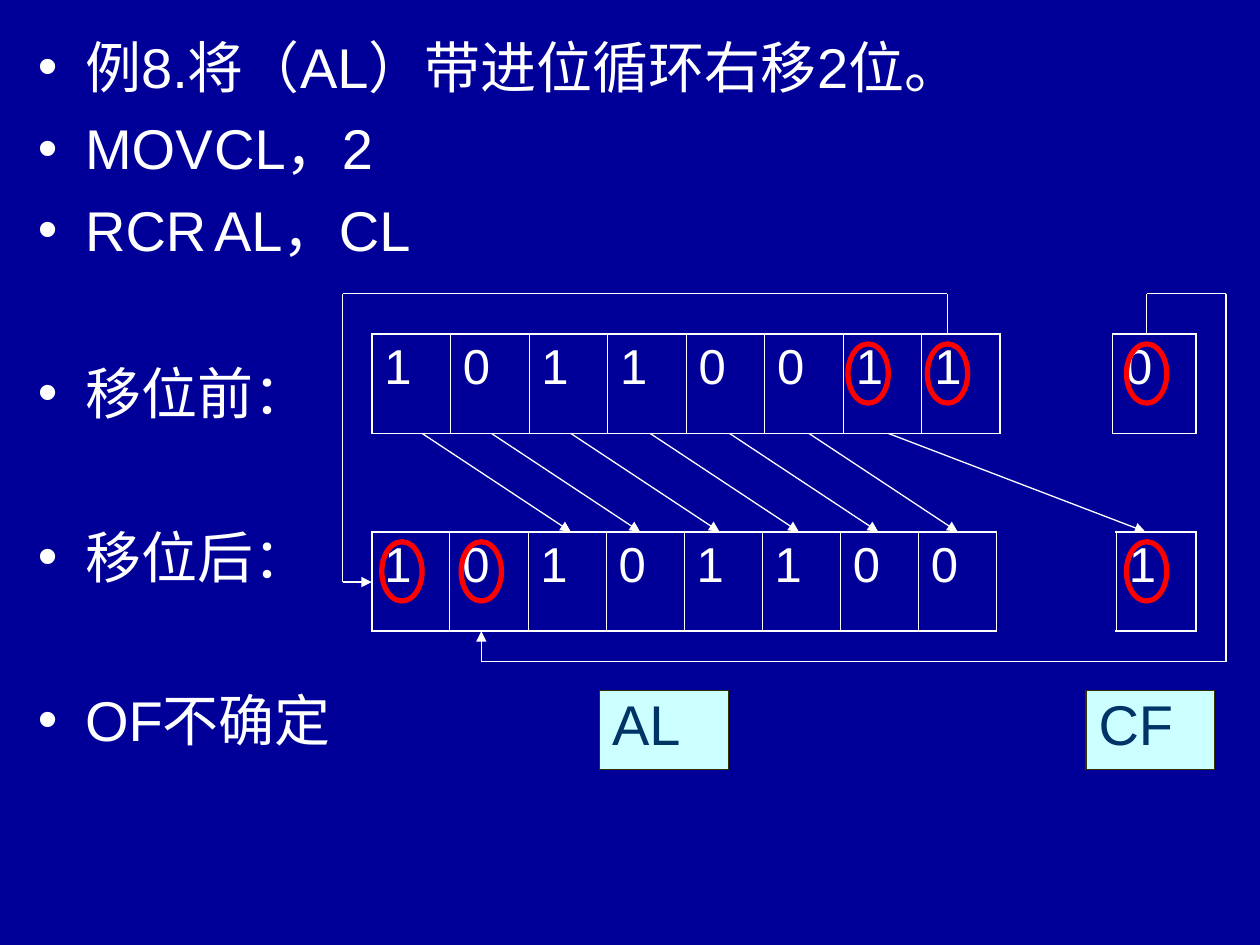
from dataclasses import dataclass
from itertools import pairwise

from lxml.etree import SubElement
from pptx import Presentation
from pptx.dml.color import RGBColor
from pptx.enum.shapes import MSO_CONNECTOR, MSO_SHAPE
from pptx.enum.text import MSO_ANCHOR, MSO_AUTO_SIZE, PP_ALIGN
from pptx.oxml import parse_xml
from pptx.oxml.ns import nsdecls, qn
from pptx.slide import Slide
from pptx.util import Inches, Pt

NAVY = RGBColor(0x00, 0x00, 0x99)
WHITE = RGBColor(0xFF, 0xFF, 0xFF)
RED = RGBColor(0xFF, 0x00, 0x00)
PALE_CYAN = RGBColor(0xCC, 0xFF, 0xFF)
OLIVE = RGBColor(0x33, 0x33, 0x00)
TEAL = RGBColor(0x00, 0x33, 0x66)

BEFORE_TOP, AFTER_TOP, ROW_HEIGHT = 2.65, 4.22, 0.79
BEFORE_BOTTOM = BEFORE_TOP + ROW_HEIGHT
AFTER_BOTTOM = AFTER_TOP + ROW_HEIGHT
OUTER_BORDER, INNER_BORDER = 1.08, 0.45


@dataclass(frozen=True)
class Register:
    left: float
    top: float
    width: float
    bits: str


@dataclass(frozen=True)
class Ring:
    left: float
    top: float


@dataclass(frozen=True)
class Label:
    text: str
    left: float


@dataclass(frozen=True)
class Wire:
    points: tuple[tuple[float, float], ...]


@dataclass(frozen=True)
class Line:
    text: str
    space_before: float = 8


LINES = (
    Line("例8.将（AL）带进位循环右移2位。"),
    Line("MOV\tCL，2"),
    Line("RCR\tAL，CL"),
    Line("移位前：", 55),
    Line("移位后：", 55),
    Line("OF不确定", 55),
)
REGISTERS = (
    Register(2.95, BEFORE_TOP, 4.99, "10110011"),
    Register(8.83, BEFORE_TOP, 0.66, "0"),
    Register(8.86, AFTER_TOP, 0.63, "1"),
    Register(2.95, AFTER_TOP, 4.96, "10101100"),
)
LABELS = (Label("CF", 8.62), Label("AL", 4.76))
RINGS = (
    Ring(6.73, BEFORE_TOP), Ring(8.94, AFTER_TOP),
    Ring(3.03, AFTER_TOP), Ring(7.36, BEFORE_TOP),
    Ring(3.66, AFTER_TOP), Ring(8.94, BEFORE_TOP),
)
SHIFT_STARTS = (3.35, *(3.9 + 0.63 * step for step in range(5)))
SHIFT_WIRES = tuple(
    Wire(((start, BEFORE_BOTTOM), (start + 1.18, AFTER_TOP))) for start in SHIFT_STARTS
)
WIRES = (
    *SHIFT_WIRES,
    Wire(((7.05, BEFORE_BOTTOM), (9.09, AFTER_TOP))),
    Wire(((9.1, BEFORE_TOP), (9.1, 2.33), (9.73, 2.33), (9.73, 5.25),
          (3.82, 5.25), (3.82, AFTER_BOTTOM))),
    Wire(((7.52, BEFORE_TOP), (7.52, 2.33), (2.72, 2.33), (2.72, 4.62), (2.95, 4.62))),
)


def apply_format(target: object, values: dict[str, object]) -> None:
    for name, value in values.items():
        setattr(target, name, value)


def write_text(para: object, text: str, size: float, color: RGBColor) -> None:
    span = para.add_run()
    span.text = text
    apply_format(span.font, {"name": "Arial", "size": Pt(size)})
    span.font.color.rgb = color


def fill_body(slide: Slide) -> None:
    slide.shapes.title.element.getparent().remove(slide.shapes.title.element)
    body = slide.placeholders[1]
    apply_format(body, {"left": Inches(0.2), "top": Inches(0.21),
                        "width": Inches(9.61), "height": Inches(7.09)})
    frame = body.text_frame
    apply_format(frame, {"auto_size": MSO_AUTO_SIZE.NONE, "word_wrap": True,
                         "vertical_anchor": MSO_ANCHOR.TOP})
    for index, line in enumerate(LINES):
        para = frame.add_paragraph() if index else frame.paragraphs[0]
        para.space_before = Pt(line.space_before)
        if "\t" in line.text:
            tabs = SubElement(para._p.get_or_add_pPr(), qn("a:tabLst"))
            SubElement(tabs, qn("a:tab"), pos=str(Inches(1.4)), algn="l")
        write_text(para, line.text, 32, WHITE)


def set_borders(cell: object, widths: dict[str, float]) -> None:
    properties = cell._tc.get_or_add_tcPr()
    for index, (side, width) in enumerate(widths.items()):
        border = parse_xml(
            f'<a:{side} {nsdecls("a")} w="{Pt(width)}"><a:solidFill>'
            f'<a:srgbClr val="{WHITE}"/></a:solidFill></a:{side}>'
        )
        properties.insert(index, border)


def draw_register(slide: Slide, register: Register) -> None:
    count = len(register.bits)
    table = slide.shapes.add_table(
        1, count, Inches(register.left), Inches(register.top),
        Inches(register.width), Inches(ROW_HEIGHT),
    ).table
    apply_format(table, {"first_row": False, "horz_banding": False})
    for index, bit in enumerate(register.bits):
        table.columns[index].width = Inches(register.width / count)
        cell = table.cell(0, index)
        cell.fill.background()
        set_borders(cell, {
            "lnL": INNER_BORDER if index else OUTER_BORDER,
            "lnR": INNER_BORDER if index < count - 1 else OUTER_BORDER,
            "lnT": OUTER_BORDER,
            "lnB": OUTER_BORDER,
        })
        para = cell.text_frame.paragraphs[0]
        para.space_before = Pt(7)
        write_text(para, bit, 28, WHITE)


def draw_label(slide: Slide, label: Label) -> None:
    box = slide.shapes.add_shape(
        MSO_SHAPE.RECTANGLE, Inches(label.left), Inches(5.48), Inches(1.02), Inches(0.63)
    )
    box.shadow.inherit = False
    box.fill.solid()
    box.fill.fore_color.rgb = PALE_CYAN
    box.line.color.rgb = OLIVE
    box.line.width = Pt(0.75)
    box.text_frame.vertical_anchor = MSO_ANCHOR.TOP
    para = box.text_frame.paragraphs[0]
    apply_format(para, {"alignment": PP_ALIGN.LEFT, "line_spacing": 0.9})
    write_text(para, label.text, 32, TEAL)


def draw_ring(slide: Slide, ring: Ring) -> None:
    oval = slide.shapes.add_shape(
        MSO_SHAPE.OVAL, Inches(ring.left), Inches(ring.top + 0.08), Inches(0.32), Inches(0.47)
    )
    oval.shadow.inherit = False
    oval.fill.background()
    oval.line.color.rgb = RED
    oval.line.width = Pt(3)


def draw_wire(slide: Slide, wire: Wire) -> None:
    for start, end in pairwise(wire.points):
        connector = slide.shapes.add_connector(
            MSO_CONNECTOR.STRAIGHT, *(Inches(value) for value in (*start, *end))
        )
        connector.line.color.rgb = WHITE
        connector.line.width = Pt(0.75)
        properties = connector._element.spPr
        SubElement(properties, qn("a:effectLst"))
    SubElement(properties.find(qn("a:ln")), qn("a:tailEnd"), type="triangle")


def main() -> None:
    deck = Presentation()
    apply_format(deck, {"slide_width": Inches(10), "slide_height": Inches(7.5)})
    page = deck.slides.add_slide(deck.slide_layouts[1])
    page.background.fill.solid()
    page.background.fill.fore_color.rgb = NAVY
    fill_body(page)
    for draw, items in (
        (draw_register, REGISTERS),
        (draw_label, LABELS),
        (draw_ring, RINGS),
        (draw_wire, WIRES),
    ):
        for item in items:
            draw(page, item)
    deck.save("out.pptx")


if __name__ == "__main__":
    main()
